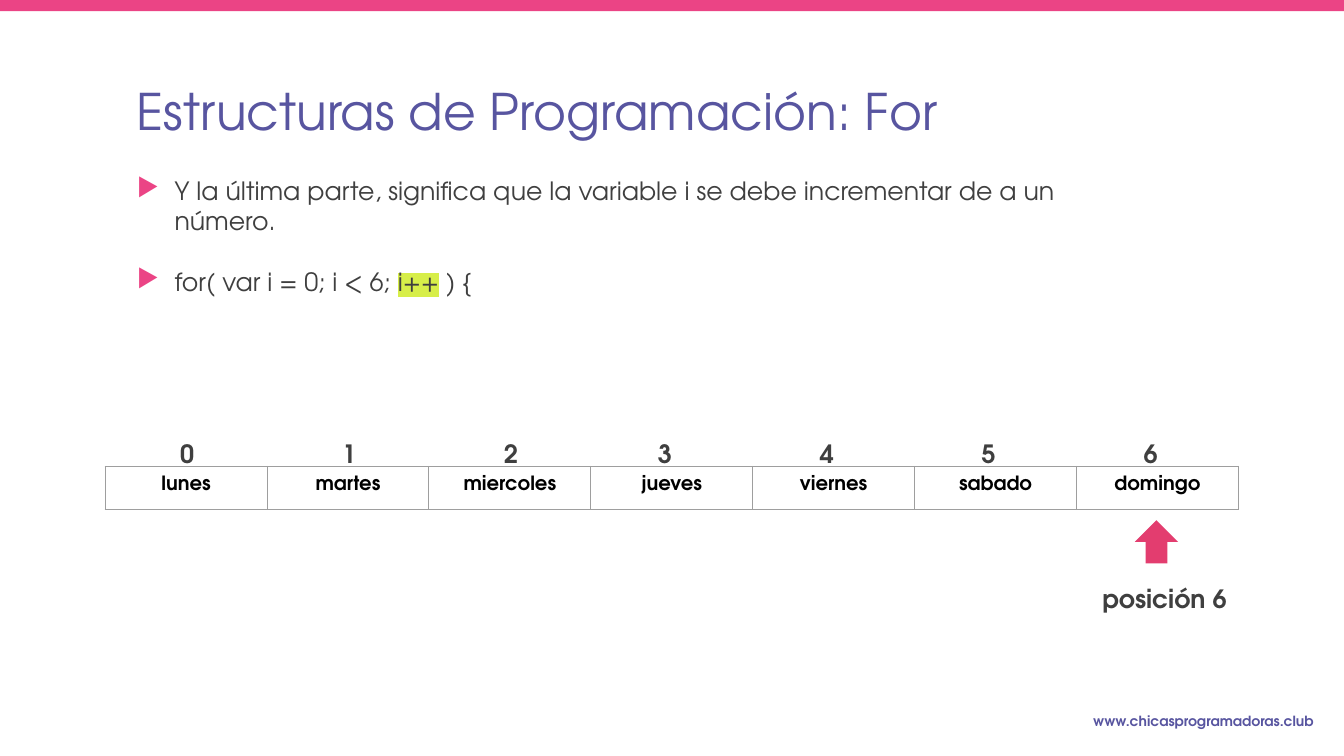
from lxml import etree
from pptx import Presentation
from pptx.dml.color import RGBColor
from pptx.enum.shapes import MSO_SHAPE
from pptx.enum.text import MSO_ANCHOR, PP_ALIGN
from pptx.oxml.ns import qn
from pptx.util import Cm, Pt

RECTANGLE, UP_ARROW = MSO_SHAPE.RECTANGLE, MSO_SHAPE.UP_ARROW
TOP, MIDDLE = MSO_ANCHOR.TOP, MSO_ANCHOR.MIDDLE
LEFT, CENTER, RIGHT = PP_ALIGN.LEFT, PP_ALIGN.CENTER, PP_ALIGN.RIGHT

FONT = "TeX Gyre Adventor"
PINK, ROSE, PURPLE = "EB4485", "E33D6F", "5855A0"
DARK, BLACK, GREY, LIME = "3F3F3F", "000000", "9E9E9E", "D7EE49"
DAYS = ["lunes", "martes", "miercoles", "jueves", "viernes", "sabado", "domingo"]
COLUMN = 4.08


def rgb(code):
    return RGBColor.from_string(code)


def add_colour(parent, code):
    etree.SubElement(parent, qn("a:srgbClr")).set("val", code)


def add_span(para, text, size=18, colour=DARK, bold=False, highlight=None):
    span = para.add_run()
    span.text = text
    font = span.font
    font.size, font.bold, font.name = Pt(size), bold, FONT
    font.color.rgb = rgb(colour)
    if highlight:
        mark = etree.Element(qn("a:highlight"))
        add_colour(mark, highlight)
        span._r.rPr.find(qn("a:solidFill")).addnext(mark)


def add_box(page, left, top, width, height, anchor=MIDDLE, inset=0.13):
    box = page.shapes.add_textbox(Cm(left), Cm(top), Cm(width), Cm(height))
    frame = box.text_frame
    frame.word_wrap = True
    frame.vertical_anchor = anchor
    frame.margin_left = frame.margin_right = Cm(0.25)
    frame.margin_top = frame.margin_bottom = Cm(inset)
    return frame


def add_label(page, text, left, top, width, height, align=LEFT, inset=0.13, **style):
    para = add_box(page, left, top, width, height, inset=inset).paragraphs[0]
    para.alignment = align
    add_span(para, text, **style)


def add_bullet(para):
    props = para._p.get_or_add_pPr()
    props.set("marL", str(Cm(0.95)))
    props.set("indent", str(-Cm(0.95)))
    add_colour(etree.SubElement(props, qn("a:buClr")), PINK)
    etree.SubElement(props, qn("a:buChar")).set("char", "▶")


def add_filled(page, kind, left, top, width, height, colour):
    shape = page.shapes.add_shape(kind, Cm(left), Cm(top), Cm(width), Cm(height))
    shape.shadow.inherit = False
    shape.fill.solid()
    shape.fill.fore_color.rgb = rgb(colour)
    shape.line.fill.background()


def add_borders(cell):
    props = cell._tc.get_or_add_tcPr()
    for side in ("a:lnL", "a:lnR", "a:lnT", "a:lnB"):
        line = etree.SubElement(props, qn(side))
        line.set("w", str(Pt(0.75)))
        add_colour(etree.SubElement(line, qn("a:solidFill")), GREY)


def add_day_table(page, left, top):
    table = page.shapes.add_table(
        1, len(DAYS), Cm(left), Cm(top), Cm(COLUMN * len(DAYS)), Cm(1.07)).table
    table.first_row = table.horz_banding = False
    for index, day in enumerate(DAYS):
        table.columns[index].width = Cm(COLUMN)
        cell = table.cell(0, index)
        cell.margin_left = cell.margin_right = Cm(0.25)
        cell.margin_top = cell.margin_bottom = Cm(0.25)
        add_borders(cell)
        cell.fill.background()
        para = cell.text_frame.paragraphs[0]
        para.alignment = CENTER
        add_span(para, day, size=14, colour=BLACK, bold=True)


def main():
    deck = Presentation()
    deck.slide_width, deck.slide_height = Cm(33.87), Cm(19.05)
    page = deck.slides.add_slide(deck.slide_layouts[6])

    # Top band, title and web address
    add_filled(page, RECTANGLE, 0, 0, 33.87, 0.28, PINK)
    add_label(page, "Estructuras de Programación: For", 3.2, 1.8, 24.33, 1.96,
              size=36, colour=PURPLE)
    add_label(page, "www.chicasprogramadoras.club", 22.63, 17.75, 10.72, 0.84,
              align=RIGHT, size=10, colour=PURPLE, bold=True)

    # Explanation and loop header
    body = add_box(page, 3.2, 4.29, 24.51, 10.52, anchor=TOP)
    meaning, loop = body.paragraphs[0], body.add_paragraph()
    add_bullet(meaning)
    add_span(meaning, "Y la última parte, significa que la variable i "
                      "se debe incrementar de a un número.")
    add_bullet(loop)
    loop.space_before = Pt(22)
    add_span(loop, "for( var i = 0; i < 6; ")
    add_span(loop, "i++", highlight=LIME)
    add_span(loop, " ) {")

    # Array of days with its indexes; the last four sit slightly left
    add_day_table(page, 2.65, 11.75)
    for index in range(len(DAYS)):
        shift = 0.2 if index >= 3 else 0
        add_label(page, str(index), 4.29 + COLUMN * index - shift, 10.44, 1.09, 1.96,
                  inset=0.25, bold=True)

    # Pointer to the current position
    add_filled(page, UP_ARROW, 28.6, 13.11, 1.09, 1.09, ROSE)
    add_label(page, "posición 6", 27.53, 14.2, 3.71, 1.78, inset=0.25, bold=True)

    deck.save("out.pptx")


if __name__ == "__main__":
    main()
